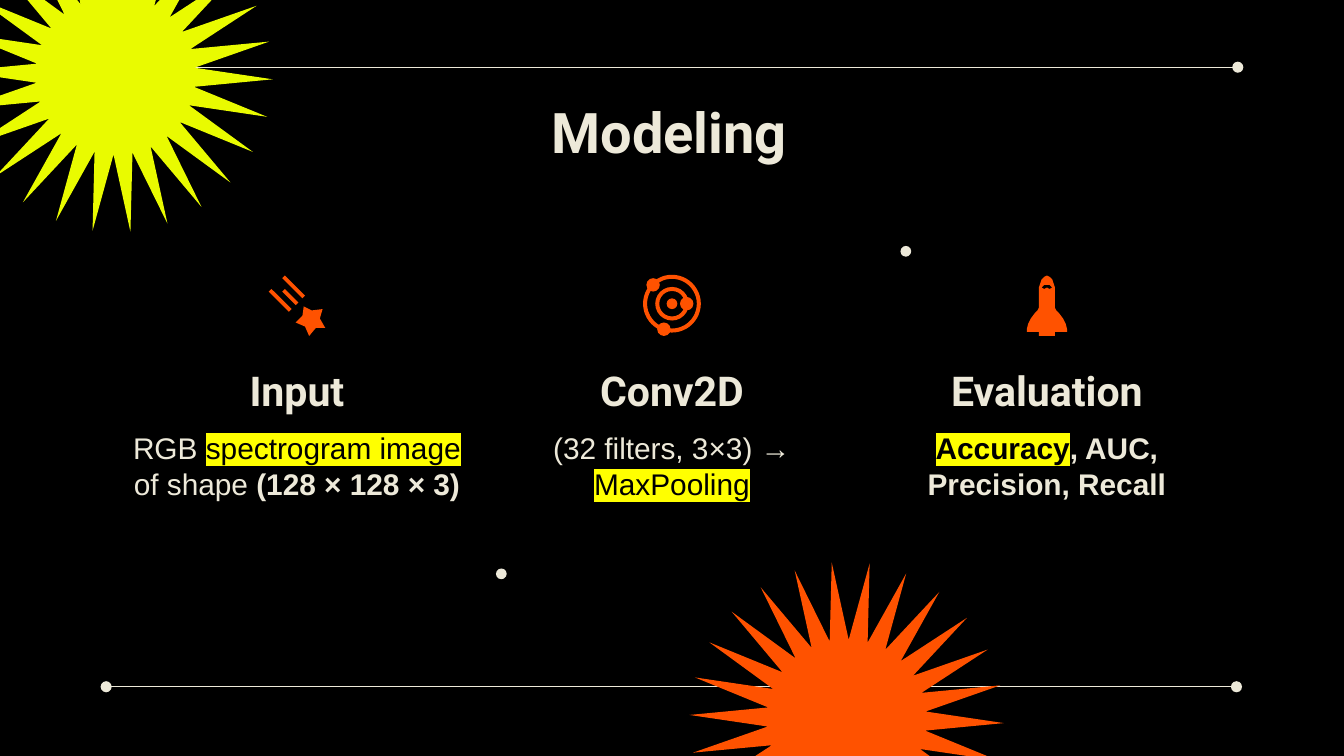
"""Build the Modeling slide: three icon columns between two sunbursts."""
from dataclasses import dataclass
from math import cos, pi, sin

from lxml import etree
from pptx import Presentation
from pptx.dml.color import RGBColor
from pptx.enum.shapes import MSO_CONNECTOR, MSO_SHAPE
from pptx.enum.text import MSO_ANCHOR, MSO_AUTO_SIZE, PP_ALIGN
from pptx.oxml.ns import qn
from pptx.util import Inches, Pt

STRAIGHT = MSO_CONNECTOR.STRAIGHT
OVAL, DONUT = MSO_SHAPE.OVAL, MSO_SHAPE.DONUT
TOP, CENTER, NO_FIT = MSO_ANCHOR.TOP, PP_ALIGN.CENTER, MSO_AUTO_SIZE.NONE


@dataclass(frozen=True)
class Theme:
    """Colours, fonts and type sizes of the slide."""
    black: str = "000000"
    cream: str = "EDE9D9"
    orange: str = "FF5200"
    lime: str = "E9FB00"
    marker: str = "FFFF00"
    heading_font: str = "Roboto"
    body_font: str = "Arial"
    title_size: int = 30
    heading_size: int = 22
    body_size: int = 16


THEME = Theme()
PLAIN, BOLD, MARKED = {}, {"bold": True}, {"marked": True}
BOLD_MARKED = {**BOLD, **MARKED}


def paint(shape, color):
    """Give a shape a flat fill without outline or shadow."""
    shape.shadow.inherit = False
    shape.fill.solid()
    shape.fill.fore_color.rgb = RGBColor.from_string(color)
    shape.line.fill.background()


def draw_outline(shapes, left, top, contours, color):
    """Draw closed contours, given in inches from left and top, as one shape."""
    placed = [[(Inches(left + x), Inches(top + y)) for x, y in contour]
              for contour in contours]
    builder = shapes.build_freeform(*placed[0][0], scale=1.0)
    builder.add_line_segments(placed[0][1:], close=True)
    for contour in placed[1:]:
        builder.move_to(*contour[0])
        builder.add_line_segments(contour[1:], close=True)
    paint(builder.convert_to_shape(), color)


def draw_round(shapes, x, y, diameter, color, band=None):
    """Draw a disc, or a ring of the given band width, centred on x and y."""
    disc = shapes.add_shape(DONUT if band else OVAL, Inches(x - diameter / 2),
                            Inches(y - diameter / 2), Inches(diameter), Inches(diameter))
    if band:
        disc.adjustments[0] = band / diameter
    paint(disc, color)


def draw_rule(shapes, left, y, width):
    """Draw a horizontal line with a round dot at each end."""
    rule = shapes.add_connector(STRAIGHT, Inches(left), Inches(y),
                                Inches(left + width), Inches(y))
    rule.line.color.rgb = RGBColor.from_string(THEME.cream)
    rule.line.width = Pt(0.75)
    line = rule.line._get_or_add_ln()
    for end in ("a:headEnd", "a:tailEnd"):
        etree.SubElement(line, qn(end), type="oval")
    etree.SubElement(rule._element.spPr, qn("a:effectLst"))


def draw_sunburst(shapes, x, y, color, spikes=26, outer=1.17, inner=0.59):
    """Draw a star of thin spikes centred on x and y."""
    tilt = -pi / 2 - 0.095
    star = []
    for corner in range(2 * spikes):
        radius = inner if corner % 2 else outer
        angle = tilt - corner * pi / spikes
        star.append((radius * cos(angle), radius * sin(angle)))
    draw_outline(shapes, x, y, [star], color)


def draw_comet(shapes, x, top):
    """Draw a falling star with three streaks, centred on x."""
    comet = shapes.add_group_shape().shapes
    left = x - 0.21
    for dx, dy, size in ((0.1, 0.1, 0.12), (0, 0.1, 0.17), (0.1, 0, 0.17)):
        streak = [(0.02, 0), (0, 0.02), (size - 0.02, size), (size, size - 0.02)]
        draw_outline(comet, left + dx, top + dy, [streak], THEME.orange)
    star = [(0.06, 0), (0.05, 0.07), (0, 0.12), (0.07, 0.15), (0.1, 0.22),
            (0.15, 0.16), (0.22, 0.16), (0.18, 0.09), (0.2, 0.02), (0.12, 0.03)]
    draw_outline(comet, left + 0.2, top + 0.23, [star], THEME.orange)


def draw_orbits(shapes, x, top):
    """Draw two orbits with three planets around a sun, centred on x."""
    orbits = shapes.add_group_shape().shapes
    y = top + 0.21
    for diameter in (0.43, 0.25):
        draw_round(orbits, x, y, diameter, THEME.orange, band=0.03)
    for dx, dy, diameter in ((0, 0, 0.08), (0.11, 0, 0.1),
                             (-0.14, -0.14, 0.1), (-0.06, 0.19, 0.1)):
        draw_round(orbits, x + dx, y + dy, diameter, THEME.orange)


def draw_rocket(shapes, x, top):
    """Draw a rocket with a window, mirrored about x."""
    hull = [(0, 0), (0.02, 0.01), (0.04, 0.03), (0.05, 0.06), (0.06, 0.09),
            (0.06, 0.24), (0.07, 0.26), (0.09, 0.28), (0.12, 0.32), (0.14, 0.36),
            (0.15, 0.4), (0.15, 0.42), (0.06, 0.42), (0.06, 0.45)]
    window = [(0, 0.07), (0.02, 0.07), (0.04, 0.09), (0.02, 0.1), (0, 0.09)]
    contours = [half + [(-dx, dy) for dx, dy in reversed(half)]
                for half in (hull, window)]
    draw_outline(shapes, x, top, contours, THEME.orange)


def style_run(run, font, size, bold=False, marked=False):
    """Format a run, with a marker highlight if asked for."""
    run.font.name, run.font.size, run.font.bold = font, Pt(size), bold
    color = THEME.black if marked else THEME.cream
    run.font.color.rgb = RGBColor.from_string(color)
    if marked:
        highlight = etree.Element(qn("a:highlight"))
        etree.SubElement(highlight, qn("a:srgbClr"), val=THEME.marker)
        run.font._element.find(qn("a:solidFill")).addnext(highlight)


def fill_text(holder, pieces, font, size):
    """Write styled pieces as one centred paragraph."""
    frame = holder.text_frame
    frame.word_wrap, frame.auto_size, frame.vertical_anchor = True, NO_FIT, TOP
    frame.margin_left = frame.margin_right = Inches(0.1)
    frame.margin_top = frame.margin_bottom = Inches(0.1)
    paragraph = frame.paragraphs[0]
    paragraph.alignment = CENTER
    for text, style in pieces:
        run = paragraph.add_run()
        run.text = text
        style_run(run, font, size, **style)
    return paragraph


def place_title(title, left, top, width, height):
    """Move the title placeholder and write its text."""
    title.left, title.top = Inches(left), Inches(top)
    title.width, title.height = Inches(width), Inches(height)
    heading = fill_text(title, [("Modeling", BOLD)], THEME.heading_font, THEME.title_size)
    heading.line_spacing = 1.29


def add_column(shapes, left, top, width, draw_icon, heading, details):
    """Stack an icon, a heading and its details."""
    draw_icon(shapes, left + width / 2, top)
    for dy, height, pieces, font, size in (
            (0.57, 0.5, [(heading, BOLD)], THEME.heading_font, THEME.heading_size),
            (1.05, 0.73, details, THEME.body_font, THEME.body_size)):
        box = shapes.add_textbox(Inches(left), Inches(top + dy), Inches(width), Inches(height))
        fill_text(box, pieces, font, size)


def main():
    """Build and save the slide."""
    deck = Presentation()
    deck.slide_width = Inches(10)
    deck.slide_height = deck.slide_width * 9 // 16
    slide = deck.slides.add_slide(deck.slide_layouts[5])
    slide.background.fill.solid()
    slide.background.fill.fore_color.rgb = RGBColor.from_string(THEME.black)
    shapes = slide.shapes
    draw_rule(shapes, 0.8, 0.5, 8.41)
    draw_rule(shapes, 0.79, 5.11, 8.41)
    draw_sunburst(shapes, 6.3, 5.35, THEME.orange)
    draw_sunburst(shapes, 0.86, 0.56, THEME.lime)
    place_title(shapes.title, 0.76, 0.48, 8.44, 0.63)
    columns = (
        (draw_comet, "Input", [("RGB ", PLAIN), ("spectrogram image ", MARKED),
                               ("of shape ", PLAIN), ("(128 × 128 × 3)", BOLD)]),
        (draw_orbits, "Conv2D", [("(32 filters, 3×3) → ", PLAIN), ("MaxPooling", MARKED)]),
        (draw_rocket, "Evaluation", [("Accuracy", BOLD_MARKED),
                                     (", AUC, Precision, Recall", BOLD)]),
    )
    for index, column in enumerate(columns):
        add_column(shapes, 0.83 + 2.79 * index, 2.05, 2.76, *column)
    for x, y in ((6.74, 1.87), (3.73, 4.27)):
        draw_round(shapes, x, y, 0.08, THEME.cream)
    deck.save("out.pptx")


if __name__ == "__main__":
    main()
